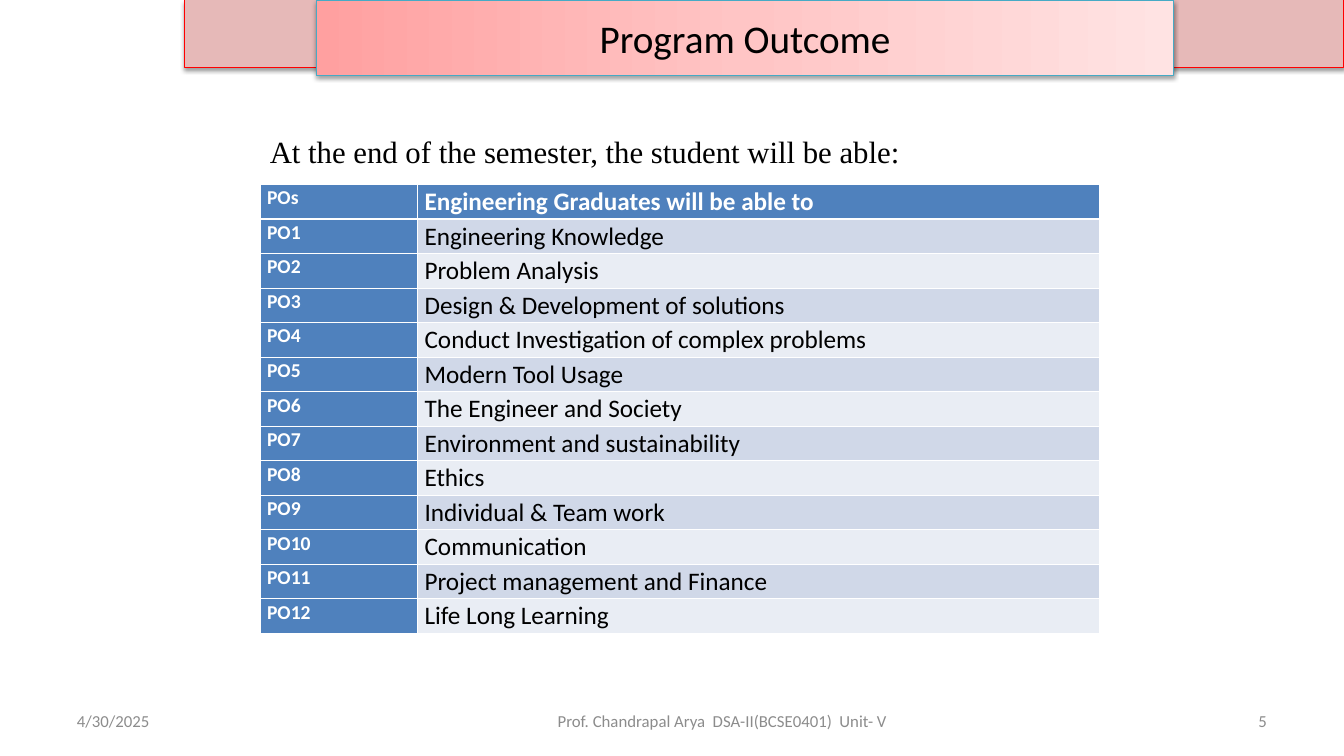
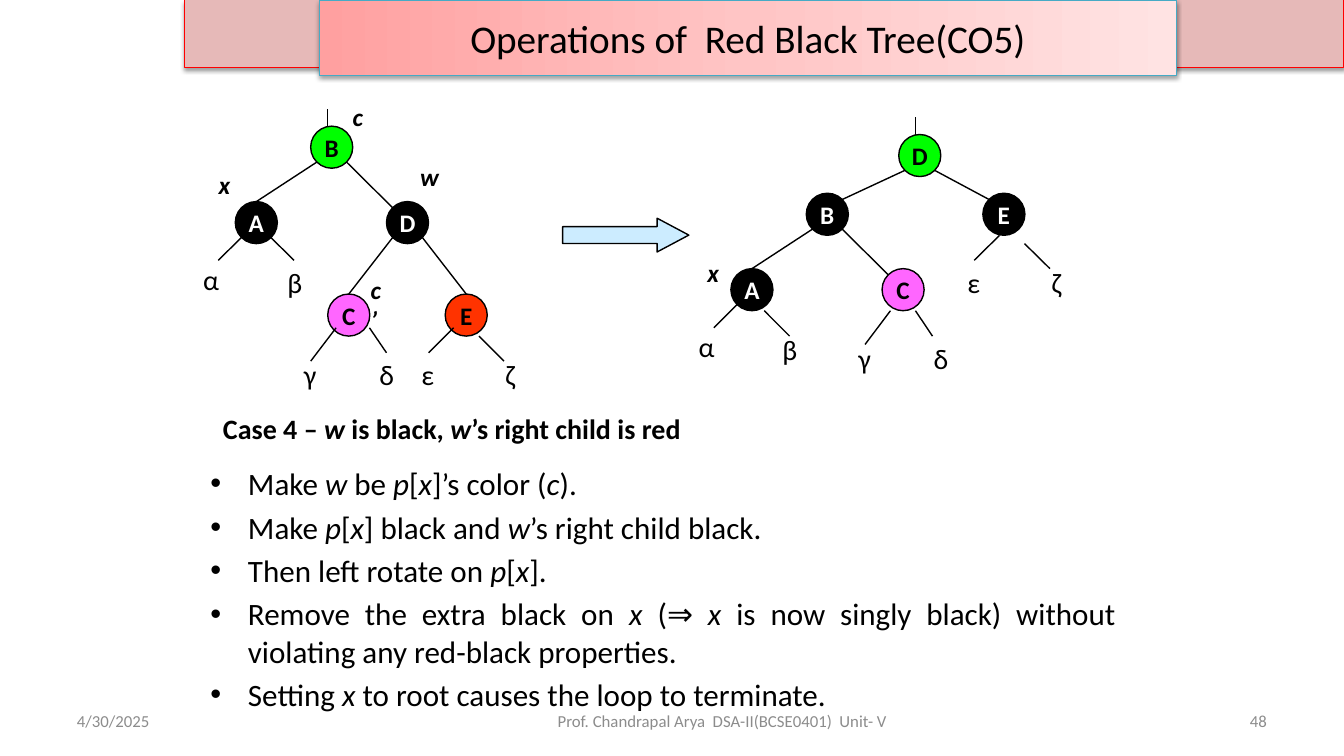
from copy import deepcopy

from lxml.etree import SubElement
from pptx import Presentation
from pptx.dml.color import RGBColor
from pptx.enum.shapes import MSO_CONNECTOR as CONNECTOR, MSO_SHAPE as SHAPE
from pptx.enum.text import MSO_ANCHOR as ANCHOR, MSO_AUTO_SIZE as AUTO_SIZE, PP_ALIGN as ALIGN
from pptx.oxml.ns import qn
from pptx.util import Cm, Pt

BLACK = RGBColor(0x00, 0x00, 0x00)
WHITE = RGBColor(0xFF, 0xFF, 0xFF)
GRAY = RGBColor(0x8C, 0x8C, 0x8C)
ROSE = RGBColor(0xE6, 0xB9, 0xB8)
RED = RGBColor(0xFF, 0x00, 0x00)
TEAL = RGBColor(0x46, 0xAA, 0xC5)
BLUE = RGBColor(0x4F, 0x81, 0xBD)
ROW_DARK = RGBColor(0xD0, 0xD8, 0xE8)
ROW_LIGHT = RGBColor(0xE9, 0xED, 0xF4)
GREEN = RGBColor(0x00, 0xFF, 0x00)
PINK = RGBColor(0xFF, 0x66, 0xFF)
ORANGE = RGBColor(0xFF, 0x33, 0x00)
SKY = RGBColor(0xCC, 0xEC, 0xFF)
TITLE_GRADIENT = [
    (0, RGBColor(0xFF, 0xA0, 0xA0)),
    (0.5, RGBColor(0xFF, 0xC5, 0xC5)),
    (1, RGBColor(0xFF, 0xE3, 0xE3)),
]
FONT = "Calibri"


def add_text(slide, box, text, size, color=BLACK, font=FONT, bold=False, align=ALIGN.LEFT):
    frame = slide.shapes.add_textbox(*[Cm(length) for length in box]).text_frame
    frame.word_wrap = True
    for index, line in enumerate(text.split("\n")):
        paragraph = frame.add_paragraph() if index else frame.paragraphs[0]
        paragraph.alignment = align
        for part, words in enumerate(line.split("*")):
            if words:
                run = paragraph.add_run()
                run.text = words
                run.font.name = font
                run.font.size = Pt(size)
                run.font.bold = bold
                run.font.italic = part % 2 == 1
                run.font.color.rgb = color
    return frame


def add_branch(slide, start, end):
    branch = slide.shapes.add_connector(CONNECTOR.STRAIGHT, *[Cm(length) for length in start + end])
    branch.line.color.rgb = BLACK
    branch.line.width = Pt(1)
    SubElement(branch._element.spPr, qn("a:effectLst"))


prs = Presentation()
prs.slide_width = Cm(33.87)
prs.slide_height = Cm(19.05)
title_only = prs.slide_layouts[5]
outcomes = prs.slides.add_slide(title_only)
operations = prs.slides.add_slide(title_only)

band = outcomes.shapes.add_shape(SHAPE.RECTANGLE, Cm(4.66), 0, Cm(29.21), Cm(1.7))
band.fill.solid()
band.fill.fore_color.rgb = ROSE
band.line.color.rgb = RED
raised = [band]

for slide, heading, left, number in [
    (outcomes, "Program Outcome", 7.98, "5"),
    (operations, "Operations of  Red Black Tree(CO5)", 8.05, "48"),
]:
    title = slide.shapes.title
    title.left, title.top, title.width, title.height = Cm(left), 0, Cm(21.59), Cm(1.9)
    title.fill.gradient()
    title.fill.gradient_angle = 0
    stop_list = title._element.spPr.find(".//" + qn("a:gsLst"))
    stop_list.insert(1, deepcopy(stop_list[0]))
    for stop, (position, color) in zip(title.fill.gradient_stops, TITLE_GRADIENT):
        stop.position = position
        stop.color.rgb = color
    title.line.color.rgb = TEAL
    raised.append(title)

    frame = title.text_frame
    frame.text = heading
    frame.word_wrap = True
    frame.auto_size = AUTO_SIZE.NONE
    frame.vertical_anchor = ANCHOR.MIDDLE
    frame.paragraphs[0].alignment = ALIGN.CENTER
    title_font = frame.paragraphs[0].runs[0].font
    title_font.name = FONT
    title_font.size = Pt(28)
    title_font.color.rgb = BLACK

    for text, left, width, align in [
        ("4/30/2025", 1.69, 7.9, ALIGN.LEFT),
        ("Prof. Chandrapal Arya  DSA-II(BCSE0401)  Unit- V", 11.22, 13.97, ALIGN.CENTER),
        (number, 24.28, 7.9, ALIGN.RIGHT),
    ]:
        footer = add_text(slide, (left, 17.66, width, 1.01), text, 12, GRAY, align=align)
        footer.vertical_anchor = ANCHOR.MIDDLE

for panel in raised:
    panel.line.width = Pt(0.75)
    panel.shadow.inherit = False
    shadow = SubElement(
        panel._element.spPr.find(qn("a:effectLst")), qn("a:outerShdw"),
        blurRad="40000", dist="20000", dir="5400000", rotWithShape="0",
    )
    shade = SubElement(shadow, qn("a:srgbClr"), val="000000")
    SubElement(shade, qn("a:alpha"), val="38000")

band._element.nvSpPr.cNvPr.set("id", "20")
title_only.shapes._spTree.append(band._element)

intro = add_text(
    outcomes, (6.55, 3.07, 21.59, 1.27),
    "At the end of the semester, the student will be able:", 22, font="Times New Roman",
)
intro.paragraphs[0].line_spacing = 1.15
intro.paragraphs[0].space_after = Pt(10)

abilities = [
    "Engineering Knowledge",
    "Problem Analysis",
    "Design & Development of solutions",
    "Conduct Investigation of complex problems",
    "Modern Tool Usage",
    "The Engineer and Society",
    "Environment and sustainability",
    "Ethics",
    "Individual & Team work",
    "Communication",
    "Project management and Finance",
    "Life Long Learning",
]
rows = [("POs", "Engineering Graduates will be able to")]
rows += [(f"PO{number}", ability) for number, ability in enumerate(abilities, 1)]
table = outcomes.shapes.add_table(
    len(rows), 2, Cm(6.55), Cm(4.65), Cm(21.17), Cm(0.87 * len(rows))
).table
table.first_col = True
table.columns[0].width = Cm(3.97)
table.columns[1].width = Cm(17.2)
for row_index, row in enumerate(rows):
    for column_index, text in enumerate(row):
        is_header = row_index == 0 or column_index == 0
        cell = table.cell(row_index, column_index)
        cell.margin_left = cell.margin_right = Cm(0.18)
        cell.margin_top = cell.margin_bottom = 0
        cell.fill.solid()
        cell.fill.fore_color.rgb = BLUE if is_header else (ROW_LIGHT, ROW_DARK)[row_index % 2]
        cell.text_frame.text = text
        paragraph = cell.text_frame.paragraphs[0]
        paragraph.line_spacing = 1.07
        cell_font = paragraph.runs[0].font
        cell_font.name = FONT
        cell_font.size = Pt((14, 18)[column_index])
        cell_font.bold = is_header
        cell_font.color.rgb = WHITE if is_header else BLACK

NODE = 1.06
SITES = {
    "top": (0.5, 0), "top left": (0.15, 0.15), "top right": (0.85, 0.15),
    "bottom left": (0.15, 0.85), "bottom right": (0.85, 0.85),
}
trees = [
    {
        "nodes": {
            "B": (7.83, 3.18, GREEN), "A": (5.93, 5.08, BLACK), "D": (9.74, 5.08, BLACK),
            "C": (8.26, 7.41, PINK), "E": (11.22, 7.41, ORANGE),
        },
        "edges": [
            ("B", "bottom left", "A", "top"), ("B", "bottom right", "D", "top left"),
            ("D", "bottom left", "C", "top"), ("D", "bottom right", "E", "top"),
        ],
        "root": ((8.26, 2.75), (8.26, 3.18)),
        "subtrees": [
            ("α", (4.87, 6.48), (6.14, 5.93), (5.5, 6.56)),
            ("β", (6.99, 6.56), (6.77, 5.93), (7.41, 6.56)),
            ("γ", (7.41, 8.89), (8.47, 8.26), (7.83, 9.1)),
            ("δ", (9.31, 8.89), (9.31, 8.26), (9.74, 8.89)),
            ("ε", (10.37, 8.89), (11.43, 8.26), (10.8, 8.89)),
            ("ζ", (12.49, 8.89), (12.07, 8.47), (12.7, 9.1)),
        ],
        "marks": [("x", 5.26, 4.14), ("w", 10.34, 3.94), ("c", 8.64, 2.44), ("c’", 9.09, 6.78)],
    },
    {
        "nodes": {
            "D": (22.65, 3.39, GREEN), "B": (20.32, 4.87, BLACK), "E": (24.77, 4.87, BLACK),
            "A": (18.42, 6.77, BLACK), "C": (22.23, 6.77, PINK),
        },
        "edges": [
            ("D", "bottom left", "B", "top right"), ("D", "bottom right", "E", "top left"),
            ("B", "bottom left", "A", "top"), ("B", "bottom right", "C", "top left"),
        ],
        "root": ((23.07, 2.96), (23.07, 3.39)),
        "subtrees": [
            ("α", (17.36, 8.18), (18.63, 7.62), (17.99, 8.26)),
            ("β", (19.47, 8.26), (19.26, 7.83), (19.9, 8.47)),
            ("γ", (21.38, 8.47), (22.44, 7.83), (21.8, 8.68)),
            ("δ", (23.28, 8.47), (23.07, 7.83), (23.5, 8.47)),
            ("ε", (24.13, 6.56), (25.19, 5.93), (24.55, 6.56)),
            ("ζ", (26.25, 6.56), (25.82, 6.14), (26.46, 6.77)),
        ],
        "marks": [("x", 17.58, 6.35)],
    },
]

for tree in trees:
    nodes = tree["nodes"]
    for key, (left, top, color) in nodes.items():
        node = operations.shapes.add_shape(SHAPE.OVAL, Cm(left), Cm(top), Cm(NODE), Cm(NODE))
        node.shadow.inherit = False
        node.fill.solid()
        node.fill.fore_color.rgb = color
        node.line.color.rgb = BLACK
        node.line.width = Pt(1)
        frame = node.text_frame
        frame.text = key
        frame.word_wrap = False
        frame.vertical_anchor = ANCHOR.MIDDLE
        frame.paragraphs[0].alignment = ALIGN.CENTER
        key_font = frame.paragraphs[0].runs[0].font
        key_font.name = FONT
        key_font.size = Pt(18)
        key_font.bold = True
        key_font.color.rgb = WHITE if color == BLACK else BLACK

    for parent, parent_site, child, child_site in tree["edges"]:
        start, end = [
            tuple(nodes[key][axis] + NODE * SITES[site][axis] for axis in (0, 1))
            for key, site in ((parent, parent_site), (child, child_site))
        ]
        add_branch(operations, start, end)
    add_branch(operations, *tree["root"])

    labels = []
    for letter, corner, start, end in tree["subtrees"]:
        add_branch(operations, start, end)
        labels.append(add_text(operations, corner + (0.87, 1.09), letter, 20))
    for mark, left, top in tree["marks"]:
        labels.append(add_text(operations, (left, top, 0.87, 1.02), f"*{mark}*", 18, bold=True))
    for label in labels:
        label.word_wrap = False
        label.auto_size = AUTO_SIZE.SHAPE_TO_FIT_TEXT

rotation = operations.shapes.add_shape(SHAPE.RIGHT_ARROW, Cm(14.18), Cm(5.5), Cm(3.18), Cm(0.85))
rotation.adjustments[0] = 0.5
rotation.adjustments[1] = 0.94
rotation.shadow.inherit = False
rotation.fill.solid()
rotation.fill.fore_color.rgb = SKY
rotation.line.color.rgb = BLACK
rotation.line.width = Pt(1)

add_text(
    operations, (5.37, 10.24, 24, 1.1),
    "Case 4 – *w* is black, *w*’s right child is red", 20, bold=True,
)
steps = [
    "Make *w *be *p*[*x*]’s color (*c*).",
    "Make *p*[*x*] black and *w*’s right child black.",
    "Then left rotate on *p*[*x*].",
    "Remove the extra black on *x *(⇒ *x *is now singly black) "
    "without violating any red-black properties.",
    "Setting *x *to root causes the loop to terminate.",
]
procedure = add_text(
    operations, (5.05, 11.58, 23.32, 5.87), "\n".join(steps), 22.2, align=ALIGN.JUSTIFY
)
for index, step in enumerate(procedure.paragraphs):
    step.space_before = Pt(4.4 if index else 0)
    properties = step._p.get_or_add_pPr()
    properties.set("marL", str(Cm(0.95)))
    properties.set("indent", str(-Cm(0.95)))
    SubElement(properties, qn("a:buFont"), typeface="Arial")
    SubElement(properties, qn("a:buChar"), char="•")

prs.save("out.pptx")
